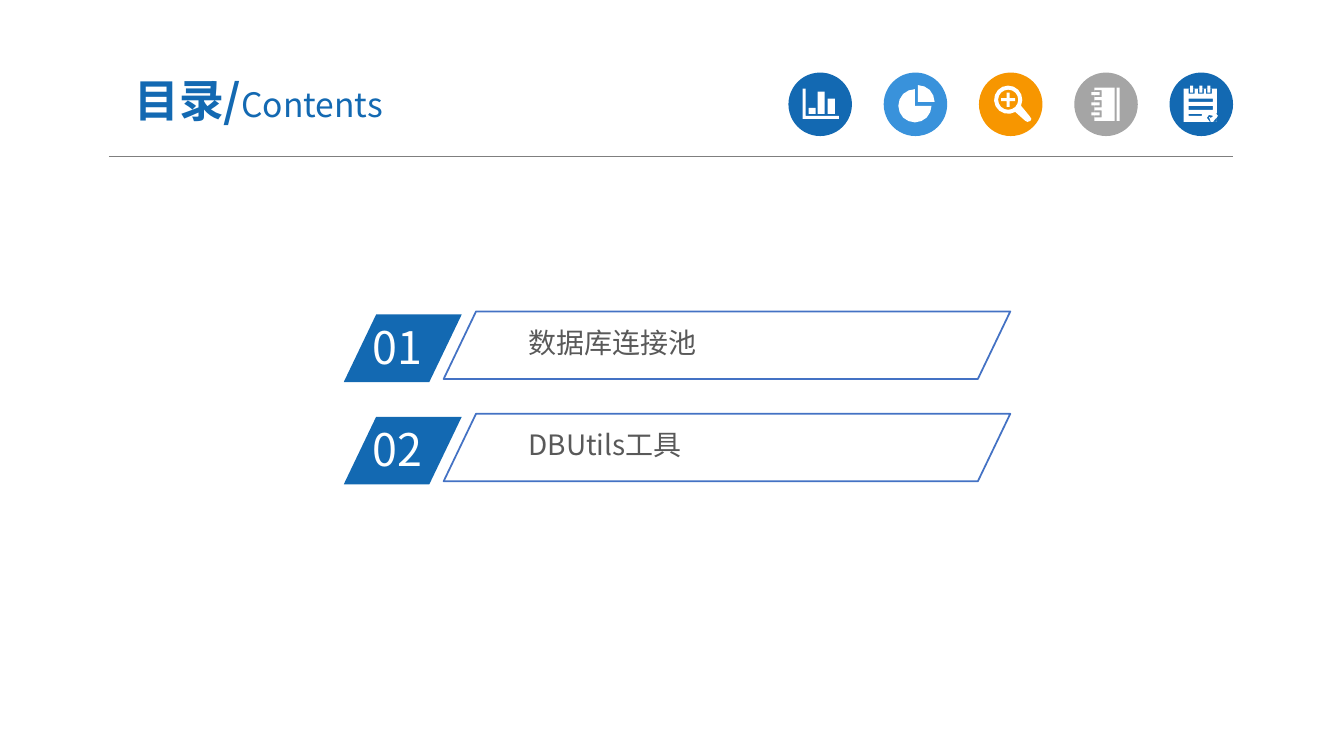
import math

from pptx import Presentation
from pptx import util as u
from pptx.dml import color
from pptx.enum import shapes, text
from pptx.oxml import ns

COLORS = {
    "blue": "1369B2",
    "sky": "3992DB",
    "orange": "F79600",
    "silver": "A5A5A5",
    "outline": "4472C4",
    "rule": "7F7F7F",
    "body": "595959",
    "white": "FFFFFF",
}
FONT = "Noto Sans CJK SC"
CELL = u.Inches(0.1)


def rgb(name):
    return color.RGBColor.from_string(COLORS[name])


def arc(cx, cy, r, start=0, end=360):
    steps = round((end - start) / 22.5)
    angles = [math.radians(start + (end - start) * i / steps) for i in range(steps + 1)]
    return [(cx + r * math.cos(a), cy + r * math.sin(a)) for a in angles]


def bar(x, y, w, h):
    return [(x, y), (x + w, y), (x + w, y + h), (x, y + h)]


def chart_icon():
    axes = [(14, 16), (17, 16), (17, 43), (50, 43), (50, 46), (14, 46)]
    return [axes, bar(20, 35, 7, 6), bar(29, 19, 7, 22), bar(39, 26, 7, 15)]


def pie_icon():
    return [[(34, 29)] + arc(34, 29, 16.5, -90, 0), [(31, 33)] + arc(31, 33, 16.5, 0, 270)]


def magnifier_icon():
    handle = [(50, 43), (52, 46), (51, 48), (48, 49), (46, 48)]
    plus = [(-7, -1.5), (-1.5, -1.5), (-1.5, -7), (1.5, -7), (1.5, -1.5), (7, -1.5),
            (7, 1.5), (1.5, 1.5), (1.5, 7), (-1.5, 7), (-1.5, 1.5), (-7, 1.5)]
    return [arc(29, 27, 14, 60, 385) + handle, arc(29, 27, 10),
            [(29 + x, 27 + y) for x, y in plus]]


def notebook_icon():
    contours = [bar(20, 15, 20, 33), bar(42, 15, 3, 33)]
    for y in (21, 31, 41):
        contours += [bar(20, y - 3.5, 7, 7), bar(17, y - 1.5, 8, 3)]
    return contours


def checklist_icon():
    contours = [bar(14, 16, 33, 33), bar(19, 26, 24, 3), bar(19, 33, 24, 4), bar(19, 41, 13, 2)]
    for x in (22, 31, 39):
        contours += [bar(x - 3, 16, 6, 5), bar(x - 1.5, 13, 3, 7)]
    notch = [(37, 45), (39, 42), (43, 43), (47, 40), (47, 49), (40, 49)]
    check = [(39, 44), (41, 45), (46, 41), (48, 43), (43, 49), (41, 49)]
    return contours + [notch, check]


class Page:
    def __init__(self, prs):
        self.s = prs.slides.add_slide(prs.slide_layouts[5])

    def grid(self, *cells):
        return [round(c * CELL) for c in cells]

    def paint(self, sp, fill=None, line=None, width=1.25):
        sp.shadow.inherit = False
        if fill:
            sp.fill.solid()
            sp.fill.fore_color.rgb = rgb(fill)
        else:
            sp.fill.background()
        if line:
            sp.line.color.rgb = rgb(line)
            sp.line.width = u.Pt(width)
        else:
            sp.line.fill.background()

    def style(self, r, size, name, bold=False):
        r.font.size = u.Pt(size)
        r.font.bold = bold
        r.font.name = FONT
        r.font.color.rgb = rgb(name)
        pr = r._r.get_or_add_rPr()
        ea = pr.makeelement(ns.qn("a:ea"), {"typeface": FONT})
        pr.find(ns.qn("a:latin")).addnext(ea)

    def title(self, x, y, w, h, parts):
        sp = self.s.shapes.title
        sp.left, sp.top, sp.width, sp.height = self.grid(x, y, w, h)
        tf = sp.text_frame
        tf.auto_size = text.MSO_AUTO_SIZE.NONE
        tf.vertical_anchor = text.MSO_ANCHOR.MIDDLE
        tf.margin_left = tf.margin_right = u.Inches(0.13)
        tf.margin_top = tf.margin_bottom = u.Inches(0.07)
        p = tf.paragraphs[0]
        p.alignment = text.PP_ALIGN.CENTER
        for words, size, bold in parts:
            r = p.add_run()
            r.text = words
            self.style(r, size, "blue", bold)

    def label(self, x, y, w, h, words, size, name, side, edge):
        tf = self.s.shapes.add_textbox(*self.grid(x, y, w, h)).text_frame
        tf.word_wrap = True
        tf.margin_left = tf.margin_right = u.Inches(side)
        tf.margin_top = tf.margin_bottom = u.Inches(edge)
        tf.text = words
        self.style(tf.paragraphs[0].runs[0], size, name)

    def slant(self, x, y, w, h, **look):
        sp = self.s.shapes.add_shape(shapes.MSO_SHAPE.PARALLELOGRAM, *self.grid(x, y, w, h))
        sp.adjustments[0] = 0.48
        self.paint(sp, **look)

    def rule(self, x1, x2, y):
        sp = self.s.shapes.add_connector(shapes.MSO_CONNECTOR.STRAIGHT, *self.grid(x1, y, x2, y))
        sp.line.color.rgb = rgb("rule")
        sp.line.width = u.Pt(0.5)
        pr = sp._element.spPr
        pr.append(pr.makeelement(ns.qn("a:effectLst"), {}))

    def badge(self, x, y, size, fill, contours):
        sp = self.s.shapes.add_shape(shapes.MSO_SHAPE.OVAL, *self.grid(x, y, size, size))
        self.paint(sp, fill)
        scaled = [[(px * 10, py * 10) for px, py in points] for points in contours]
        fb = self.s.shapes.build_freeform(*scaled[0][0], scale=CELL / 100)
        for i, points in enumerate(scaled):
            if i:
                fb.move_to(*points[0])
            fb.add_line_segments(points[1:], close=True)
        self.paint(fb.convert_to_shape(*self.grid(x, y)), "white")


def main():
    prs = Presentation()
    prs.slide_width, prs.slide_height = u.Inches(13.33), u.Inches(7.5)
    page = Page(prs)

    page.title(9.2, 6.3, 32.9, 7.2, [("目录/", 32, True), ("Contents", 24, False)])
    page.rule(10.8, 122.3, 15.5)

    badges = [("blue", chart_icon), ("sky", pie_icon), ("orange", magnifier_icon),
              ("silver", notebook_icon), ("blue", checklist_icon)]
    for i, (fill, icon) in enumerate(badges):
        page.badge(78.2 + 9.45 * i, 7.2, 6.3, fill, icon())

    for i, topic in enumerate(["数据库连接池", "DBUtils工具"]):
        y = 30.9 + 10.15 * i
        page.slant(34.1, y + 0.3, 11.7, 6.7, fill="blue")
        page.label(36, y + 0.3, 11.2, 6.4, f"{i + 1:02}", 32, "white", 0.1, 0.05)
        page.label(51.7, y + 1, 41.2, 4.1, topic, 20, "body", 0.07, 0.04)
        page.slant(44, y, 56.2, 6.7, line="outline")

    prs.save("out.pptx")


if __name__ == "__main__":
    main()
